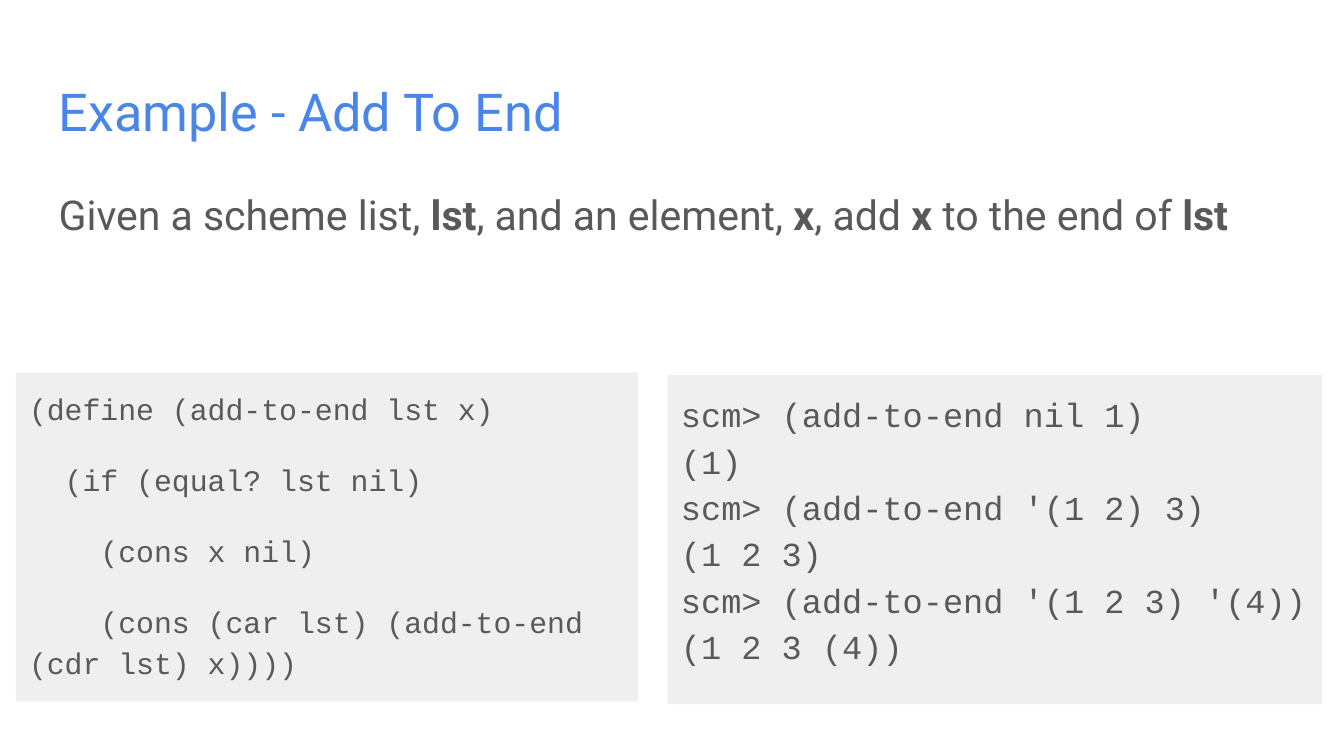
"""Build the "Add To End" Scheme example slide."""
import pptx
import pptx.dml.color
import pptx.enum.shapes
import pptx.enum.text
import pptx.util

Cm, Pt = pptx.util.Cm, pptx.util.Pt
COLORS = {"title": "4A86E8", "text": "595959", "panel": "EFEFEF"}


def rgb(name):
    return pptx.dml.color.RGBColor.from_string(COLORS[name])


def write(sp, box, paragraphs, font, size, color, spacing=1.0, before=0):
    for name, value in zip(("left", "top", "width", "height"), box):
        setattr(sp, name, Cm(value))
    tf = sp.text_frame
    frame = {
        "word_wrap": True,
        "auto_size": pptx.enum.text.MSO_AUTO_SIZE.NONE,
        "vertical_anchor": pptx.enum.text.MSO_ANCHOR.TOP,
    }
    frame.update({f"margin_{side}": Cm(0.25) for side in ("left", "top", "right", "bottom")})
    for name, value in frame.items():
        setattr(tf, name, value)
    for i, runs in enumerate(paragraphs):
        p = tf.add_paragraph() if i else tf.paragraphs[0]
        layout = {
            "alignment": pptx.enum.text.PP_ALIGN.LEFT,
            "line_spacing": spacing,
            "space_before": Pt(before if i else 0),
            "space_after": Pt(0),
        }
        for name, value in layout.items():
            setattr(p, name, value)
        for text, bold in runs:
            r = p.add_run()
            r.text = text
            for name, value in {"name": font, "size": Pt(size), "bold": bold}.items():
                setattr(r.font, name, value)
            r.font.color.rgb = rgb(color)


prs = pptx.Presentation()
prs.slide_width, prs.slide_height = Cm(25.4), Cm(14.29)
s = prs.slides.add_slide(prs.slide_layouts[5])

write(s.shapes.title, (0.86, 1.24, 23.67, 1.6),
      [[("Example - Add To End", False)]], "Roboto", 28, "title")

task = [
    ("Given a scheme list, ", False), ("lst", True),
    (", and an element, ", False), ("x", True),
    (", add ", False), ("x ", True),
    ("to the end of ", False), ("lst", True),
]
sp = s.shapes.add_textbox(0, 0, 0, 0)
write(sp, (0.86, 3.2, 23.67, 2.74), [task], "Roboto", 22, "text", 1.15)

definition = """(define (add-to-end lst x)
  (if (equal? lst nil)
    (cons x nil)
    (cons (car lst) (add-to-end (cdr lst) x))))"""
session = """scm> (add-to-end nil 1)
(1)
scm> (add-to-end '(1 2) 3)
(1 2 3)
scm> (add-to-end '(1 2 3) '(4))
(1 2 3 (4))"""
panels = [
    ((0.3, 7.04, 11.76, 6.22), definition, 16, 16),
    ((12.62, 7.09, 12.37, 6.22), session, 18, 0),
]
for box, code, size, before in panels:
    sp = s.shapes.add_shape(pptx.enum.shapes.MSO_SHAPE.RECTANGLE, 0, 0, 0, 0)
    sp.shadow.inherit = False
    sp.fill.solid()
    sp.fill.fore_color.rgb = rgb("panel")
    sp.line.fill.background()
    lines = [[(line, False)] for line in code.splitlines()]
    write(sp, box, lines, "Courier New", size, "text", 1.15, before)

prs.save("out.pptx")
